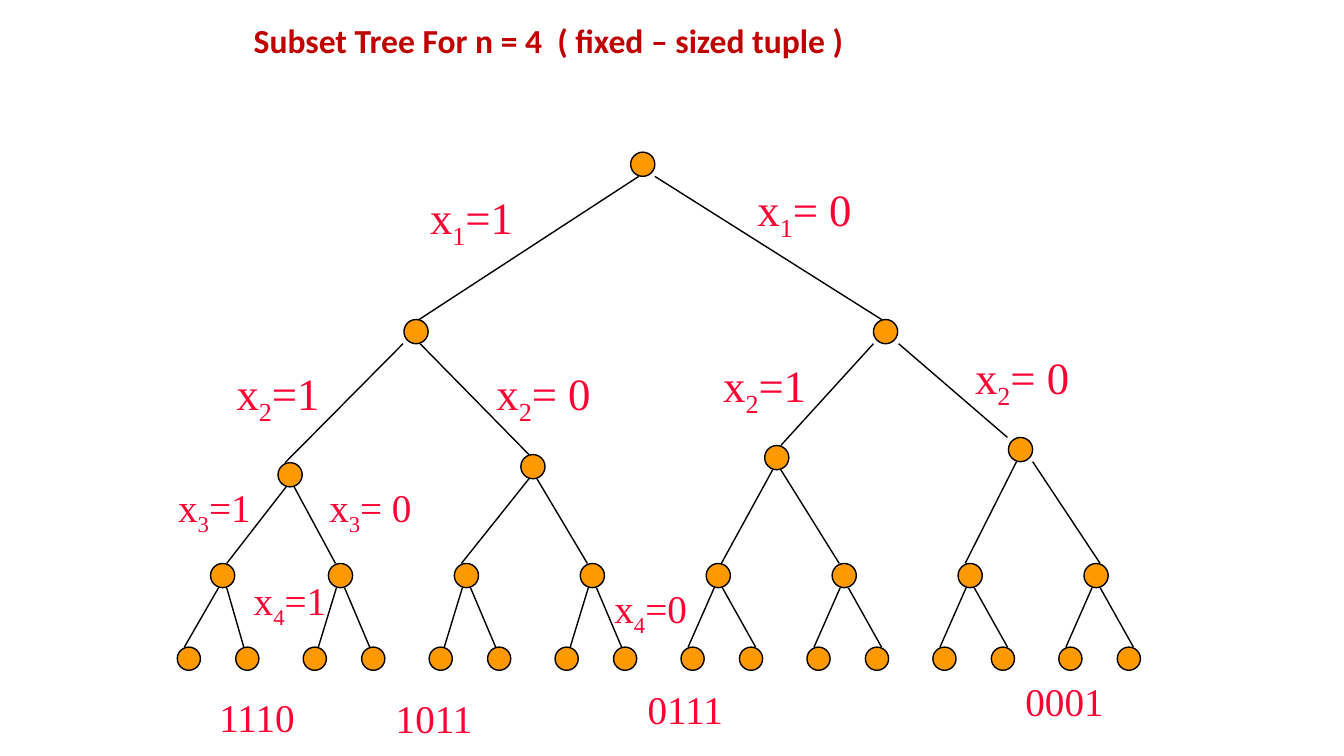
from lxml.etree import SubElement
from pptx import Presentation
from pptx.dml.color import RGBColor
from pptx.enum.shapes import MSO_CONNECTOR as Connector, MSO_SHAPE as Shape
from pptx.enum.text import MSO_ANCHOR as Anchor
from pptx.oxml.ns import qn
from pptx.util import Inches, Pt

COLORS = {"title": "C00000", "label": "FF0033", "node": "FF9900", "line": "000000"}
NODE = 0.24
LEAF = 0.23
ROOT = (6.26, 1.51)

# Parent (left, top) -> branches: line start x, line end x, child left, child top
BRANCHES = {
    ROOT: [(6.34, 4.16, 4.01, 3.17), (6.5, 8.75, 8.67, 3.17)],
    (4.01, 3.17): [(4, 2.83, 2.76, 4.59), (4.17, 5.25, 5.17, 4.51)],
    (8.67, 3.17): [(8.67, 7.75, 7.59, 4.42), (8.92, 10, 10.01, 4.34)],
    (2.76, 4.59): [(2.84, 2.25, 2.09, 5.59), (2.92, 3.33, 3.26, 5.59)],
    (5.17, 4.51): [(5.25, 4.58, 4.51, 5.59), (5.33, 5.83, 5.76, 5.59)],
    (7.59, 4.42): [(7.67, 7.16, 7.01, 5.59), (7.75, 8.33, 8.26, 5.59)],
    (10.01, 4.34): [(10.09, 9.58, 9.51, 5.59), (10.25, 10.92, 10.76, 5.59)],
}

# Left, top, variable index, value, size
CHOICES = [
    (4.17, 1.83, "1", "=1", 32), (7.42, 1.75, "1", "= 0", 32),
    (2.25, 3.58, "2", "=1", 32), (4.83, 3.58, "2", "= 0", 32),
    (7.08, 3.5, "2", "=1", 32), (9.58, 3.42, "2", "= 0", 32),
    (1.67, 4.75, "3", "=1", 28), (3.17, 4.75, "3", "= 0", 28),
    (2.42, 5.67, "4", "=1", 28), (6, 5.75, "4", "=0", 28),
]
TUPLES = [(2.08, 6.83, "1110"), (3.83, 6.84, "1011"),
          (6.33, 6.75, "0111"), (10.08, 6.67, "0001")]


def color(name):
    return RGBColor.from_string(COLORS[name])


def add_node(slide, left, top, size=NODE):
    node = slide.shapes.add_shape(
        Shape.OVAL, Inches(left), Inches(top), Inches(size), Inches(size))
    node.shadow.inherit = False
    node.fill.solid()
    node.fill.fore_color.rgb = color("node")
    node.line.color.rgb = color("line")
    node.line.width = Pt(1)


def add_edge(slide, x1, y1, x2, y2):
    edge = slide.shapes.add_connector(
        Connector.STRAIGHT, Inches(x1), Inches(y1), Inches(x2), Inches(y2))
    edge.line.color.rgb = color("line")
    edge.line.width = Pt(1)
    SubElement(edge._element.spPr, qn("a:effectLst"))


def add_frame(slide, left, top, width, height):
    frame = slide.shapes.add_textbox(
        Inches(left), Inches(top), Inches(width), Inches(height)).text_frame
    frame.word_wrap = True
    return frame


def add_run(paragraph, text, size, font="Times New Roman", tint="label"):
    run = paragraph.add_run()
    run.text = text
    run.font.size = Pt(size)
    run.font.name = font
    run.font.color.rgb = color(tint)
    return run


def add_title(slide, text):
    frame = add_frame(slide, 2.42, 0.17, 8.5, 0.5)
    frame.vertical_anchor = Anchor.MIDDLE
    heading = frame.paragraphs[0]
    heading.line_spacing = 0.9
    add_run(heading, text, 24, "Calibri", "title").font.bold = True


def add_choice(slide, left, top, index, value, size):
    height = 0.64 if size == 32 else 0.57
    choice = add_frame(slide, left, top, 1.17, height).paragraphs[0]
    add_run(choice, "x", size)
    subscript = add_run(choice, index, size)
    subscript._r.get_or_add_rPr().set("baseline", "-25000")
    add_run(choice, value, size)


def add_leaves(slide, pair, parent_left, parent_top):
    """Two leaves under one third-level node, each with its edge."""
    left_end = 0.15 if pair in (1, 2, 3) else 0.07
    right_end = 0.08 if pair < 4 else 0.16
    first = 1.76 + 1.25 * pair
    for leaf, start, end in ((first, 0.08, left_end),
                             (first + 0.58, 0.16, right_end)):
        add_edge(slide, parent_left + start, parent_top + NODE, leaf + end, 6.42)
        add_node(slide, leaf, 6.42, LEAF)


def main():
    deck = Presentation()
    deck.slide_width, deck.slide_height = Inches(13.34), Inches(7.5)
    slide = deck.slides.add_slide(deck.slide_layouts[6])
    add_title(slide, "Subset Tree For n = 4  ( fixed – sized tuple )")

    # Upper levels
    add_node(slide, *ROOT)
    last_parents = []
    for (_, parent_top), children in BRANCHES.items():
        for start, end, left, top in children:
            add_edge(slide, start, parent_top + NODE, end, top)
            add_node(slide, left, top)
            if (left, top) not in BRANCHES:
                last_parents.append((left, top))

    # Leaves
    for pair, (left, top) in enumerate(last_parents):
        add_leaves(slide, pair, left, top)

    # Branch choices and resulting tuples
    for choice in CHOICES:
        add_choice(slide, *choice)
    for left, top, bits in TUPLES:
        add_run(add_frame(slide, left, top, 1, 0.57).paragraphs[0], bits, 28)

    deck.save("out.pptx")


if __name__ == "__main__":
    main()
